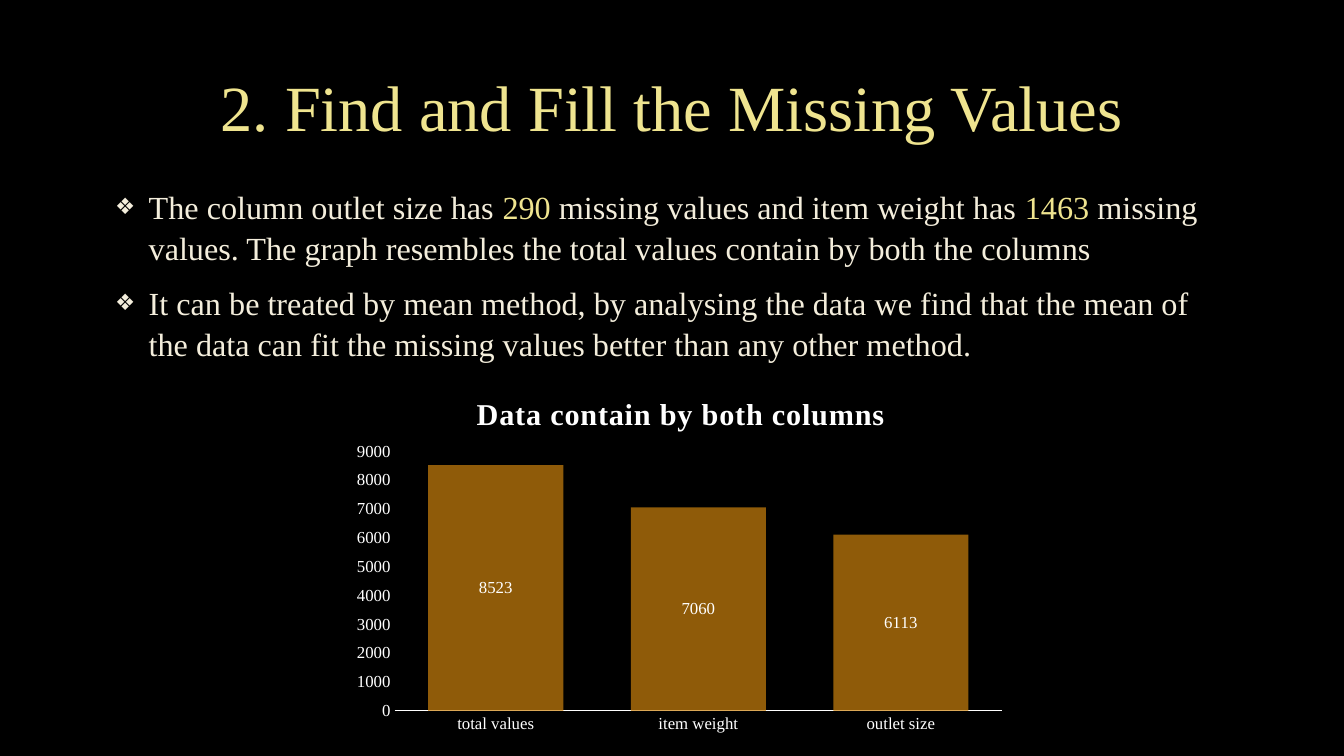
from pptx import Presentation
from pptx.chart.data import CategoryChartData
from pptx.dml.color import RGBColor
from pptx.enum.chart import XL_CHART_TYPE, XL_LABEL_POSITION, XL_TICK_MARK
from pptx.enum.text import MSO_ANCHOR, MSO_AUTO_SIZE, PP_ALIGN
from pptx.oxml import parse_xml
from pptx.oxml.ns import nsdecls, qn
from pptx.util import Emu, Pt

STACKED = XL_CHART_TYPE.COLUMN_STACKED
MID_LABEL = XL_LABEL_POSITION.CENTER
NO_TICK = XL_TICK_MARK.NONE
MIDDLE, TOP = MSO_ANCHOR.MIDDLE, MSO_ANCHOR.TOP
NO_FIT = MSO_AUTO_SIZE.NONE
CENTER, LEFT = PP_ALIGN.CENTER, PP_ALIGN.LEFT

BLACK = RGBColor(0x00, 0x00, 0x00)
WHITE = RGBColor(0xFF, 0xFF, 0xFF)
GOLD = RGBColor(0xEF, 0xE4, 0x8F)
CREAM = RGBColor(0xF4, 0xEE, 0xDC)
AMBER = RGBColor(0xCC, 0x83, 0x0E)
FONT = "Times New Roman"
SCALE = 9525  # EMU in one px, 96 px to the inch

TITLE = "2. Find and Fill the Missing Values"
# Each point is a list of (text, colour) runs
POINTS = [
    [("The column outlet size has ", CREAM), ("290 ", GOLD),
     ("missing values and item weight has ", CREAM), ("1463 ", GOLD),
     ("missing values. The graph resembles the total values contain "
      "by both the columns", CREAM)],
    [("It can be treated by mean method, by analysing the data we find "
      "that the mean of the data can fit the missing values better than "
      "any other method.", CREAM)],
]
HEADING = "Data contain by both columns"
COUNTS = {"total values": 8523, "item weight": 7060, "outlet size": 6113}


def px(n):
    return Emu(n * SCALE)


def style(font, size, color):
    font.name, font.size = FONT, Pt(size)
    font.color.rgb = color


def place(shape, box, anchor):
    shape.left, shape.top, shape.width, shape.height = map(px, box)
    frame = shape.text_frame
    frame.word_wrap = True
    frame.auto_size = NO_FIT
    frame.vertical_anchor = anchor
    return frame


def add_title(slide, box):
    frame = place(slide.shapes.title, box, MIDDLE)
    frame.text = TITLE
    para = frame.paragraphs[0]
    para.alignment, para.line_spacing = CENTER, 0.9
    style(para.runs[0].font, 46, GOLD)


def set_bullet(para):
    props = para._p.get_or_add_pPr()
    props.set("marL", str(px(36)))
    props.set("indent", str(-px(32)))
    for xml in (f'<a:buClr {nsdecls("a")}><a:srgbClr val="{CREAM}"/></a:buClr>',
                f'<a:buSzPct {nsdecls("a")} val="70000"/>',
                f'<a:buChar {nsdecls("a")} char="❖"/>'):
        props.append(parse_xml(xml))


def add_points(slide, box):
    frame = place(slide.placeholders[1], box, TOP)
    for i, point in enumerate(POINTS):
        para = frame.add_paragraph() if i else frame.paragraphs[0]
        para.alignment, para.line_spacing = LEFT, 1.05
        para.space_before, para.space_after = Pt(4.6), Pt(6)
        set_bullet(para)
        for text, color in point:
            run = para.add_run()
            run.text = text
            style(run.font, 23, color)


def set_layout(parent, index, **spots):
    """Fix a chart part at fractions of the chart's size."""
    old = parent.find(qn("c:layout"))
    if old is not None:
        parent.remove(old)
    inner = '<c:layoutTarget val="inner"/>' if "w" in spots else ""
    modes = "".join(f'<c:{k}Mode val="edge"/>' for k in "xy")
    vals = "".join(f'<c:{k} val="{v}"/>' for k, v in spots.items())
    parent.insert(index, parse_xml(
        f'<c:layout {nsdecls("c")}><c:manualLayout>{inner}{modes}{vals}'
        '</c:manualLayout></c:layout>'))


def set_heading(chart):
    title = chart.chart_title
    title.text_frame.text = HEADING
    run = title.text_frame.paragraphs[0].runs[0]
    style(run.font, 21.6, WHITE)
    run.font.bold = True
    run.font._element.set("spc", "50")
    title.include_in_layout = False
    set_layout(title._element, 1, x=0.19, y=0.05)


def set_axes(chart):
    for axis in (chart.category_axis, chart.value_axis):
        axis.major_tick_mark = axis.minor_tick_mark = NO_TICK
        axis.has_major_gridlines = False
        style(axis.tick_labels.font, 12, WHITE)
    line = chart.category_axis.format.line
    line.color.rgb, line.width = WHITE, Pt(0.75)
    scale = chart.value_axis
    scale.minimum_scale, scale.maximum_scale, scale.major_unit = 0, 9000, 1000
    scale.format.line.fill.background()


def set_bars(plot):
    plot.gap_width, plot.overlap = 50, 100
    plot.vary_by_categories = False
    bars = plot.series[0]
    bars.format.fill.solid()
    bars.format.fill.fore_color.rgb = AMBER
    color = bars._element.find(".//" + qn("a:srgbClr"))
    color.append(parse_xml(f'<a:alpha {nsdecls("a")} val="70000"/>'))
    labels = bars.data_labels
    labels.show_value, labels.position = True, MID_LABEL
    style(labels.font, 12, WHITE)


def add_graph(slide, box):
    data = CategoryChartData()
    data.categories = list(COUNTS)
    data.add_series("Series 1", list(COUNTS.values()))
    chart = slide.shapes.add_chart(STACKED, *map(px, box), data).chart
    style(chart.font, 10, WHITE)
    chart.has_legend = False
    set_heading(chart)
    set_axes(chart)
    set_bars(chart.plots[0])
    # Plot area and clear background
    root = chart._chartSpace.find(qn("c:chart"))
    set_layout(root.find(qn("c:plotArea")), 0, x=0.076, y=0.218, w=0.903, h=0.7)
    root.addnext(parse_xml(
        f'<c:spPr {nsdecls("c", "a")}><a:noFill/><a:ln><a:noFill/></a:ln></c:spPr>'))


def main():
    deck = Presentation()
    deck.slide_width, deck.slide_height = px(1280), px(720)
    slide = deck.slides.add_slide(deck.slide_layouts[1])
    back = slide.background.fill
    back.solid()
    back.fore_color.rgb = BLACK
    add_title(slide, (96, 39, 1087, 133))
    add_points(slide, (96, 172, 1087, 181))
    add_graph(slide, (327, 353, 641, 353))
    deck.save("out.pptx")


if __name__ == "__main__":
    main()
